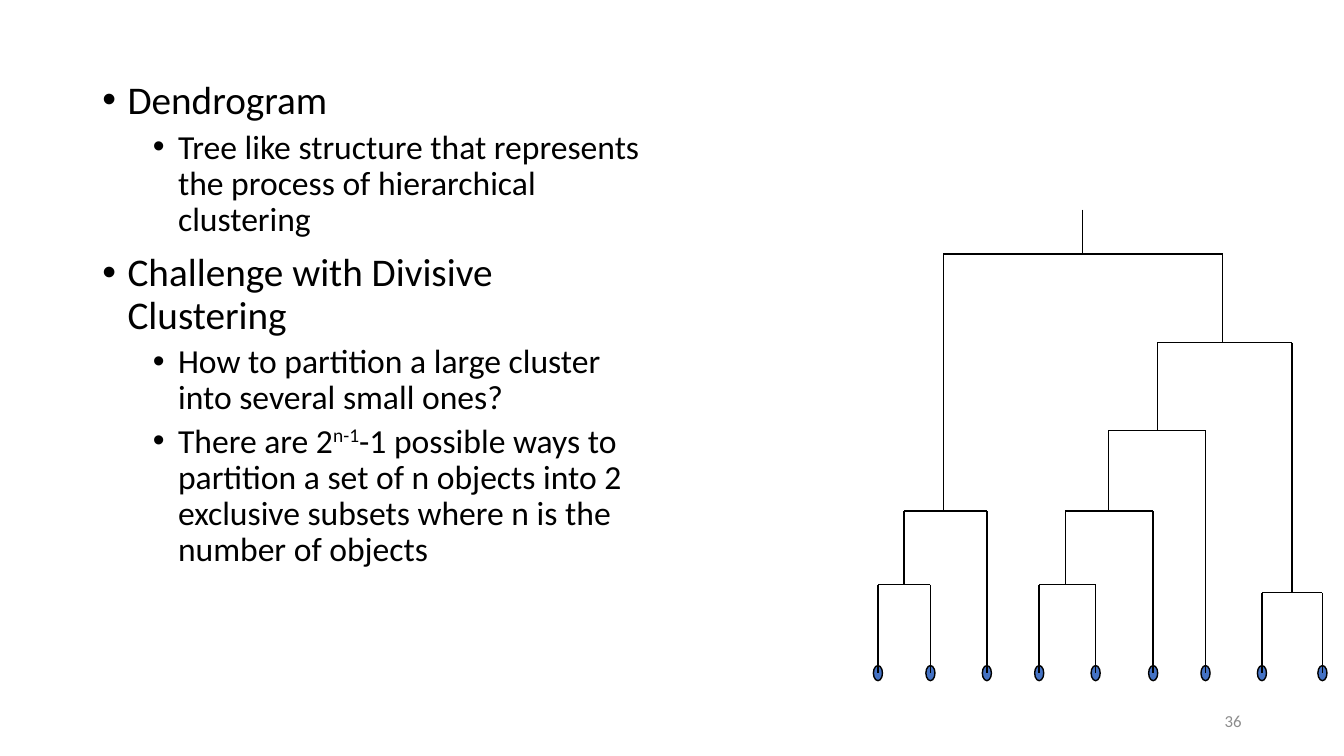
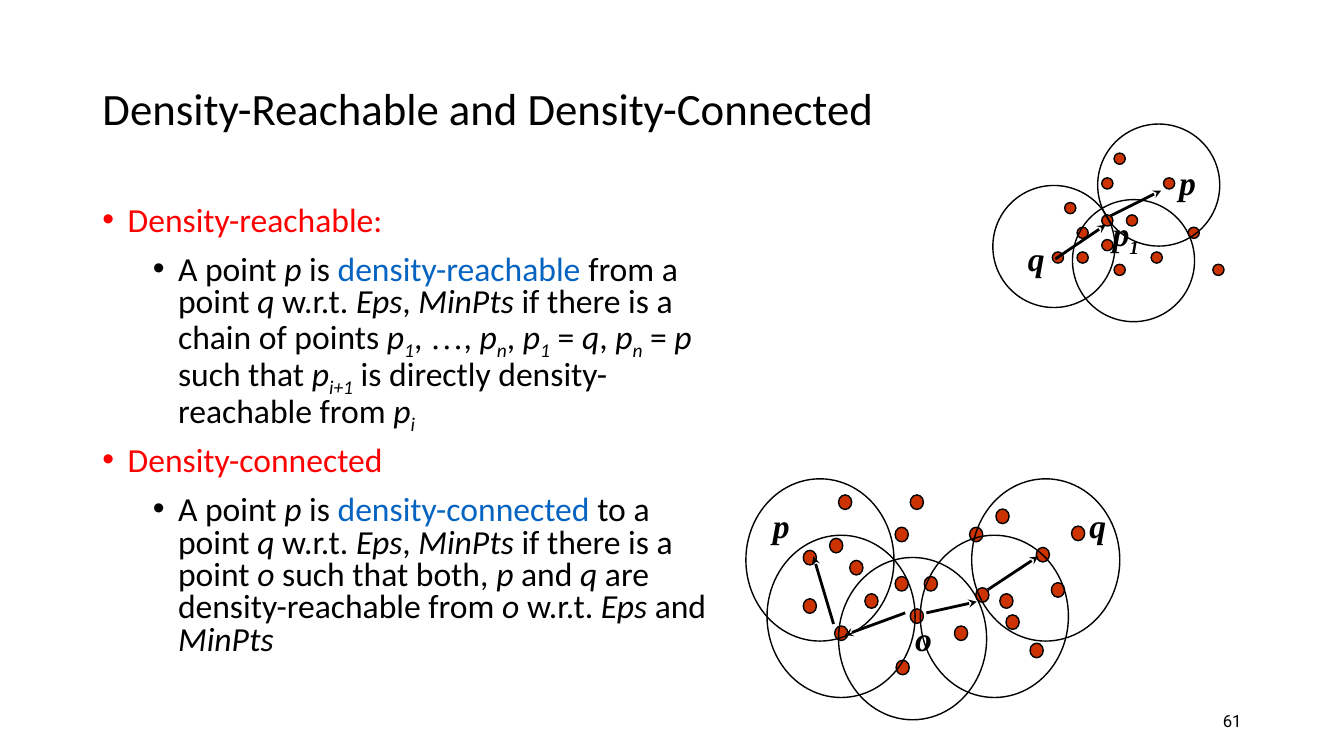
"""Build two slides on hierarchical and density-based clustering."""
from lxml.etree import SubElement
from pptx import Presentation
from pptx.dml.color import RGBColor
from pptx.enum.shapes import MSO_CONNECTOR as Connector, MSO_SHAPE as Shape
from pptx.enum.text import MSO_ANCHOR as Anchor, MSO_AUTO_SIZE as AutoSize, PP_ALIGN as Align
from pptx.oxml.ns import qn
from pptx.util import Pt

BLACK = RGBColor(0x00, 0x00, 0x00)
GRAY = RGBColor(0x8C, 0x8C, 0x8C)
RED = RGBColor(0xFF, 0x00, 0x00)
LINK_BLUE = RGBColor(0x05, 0x63, 0xC1)
LEAF_BLUE = RGBColor(0x44, 0x72, 0xC4)
POINT_RED = RGBColor(0xCC, 0x33, 0x00)

BODY_FONT = "Calibri"
LABEL_FORMAT = {"name": "Times New Roman", "size": Pt(24), "bold": True, "italic": True,
                "color": BLACK}
RUN_STYLES = {
    "": {},
    "i": {"italic": True},
    "sub": {"italic": True, "baseline": -25},
    "sup": {"baseline": 30},
    "link": {"color": LINK_BLUE},
    "serif": {"name": "Times New Roman"},
}

DENDROGRAM_TEXT = [
    (0, "Dendrogram"),
    (1, "Tree like structure that represents the process of hierarchical clustering"),
    (0, "Challenge with Divisive Clustering"),
    (1, "How to partition a large cluster into several small ones?"),
    (1, "There are 2|sup~n-1|-1 possible ways to partition a set of n objects into 2 "
        "exclusive subsets where n is the number of objects"),
]
DENSITY_TEXT = [
    (0, "Density-reachable:"),
    (1, "A point |i~p| is |link~density-reachable| from a point |i~q |w.r.t. |i~Eps|, |i~MinPts"
        "| if there is a chain of points |i~p|sub~1|, |serif~…|, |i~p|sub~n|, |i~p|sub~1| = |i~q"
        "|, |i~p|sub~n| = |i~p| such that |i~p|sub~i+1| is directly density-reachable from "
        "|i~p|sub~i"),
    (0, "Density-connected"),
    (1, "A point |i~p| is |link~density-connected| to a point |i~q |w.r.t. |i~Eps|, |i~MinPts"
        "| if there is a point |i~o |such that both, |i~p| and |i~q| are density-reachable from "
        "|i~o |w.r.t. |i~Eps| and |i~MinPts"),
]

LEAF_XS = [627.1, 664.6, 704.9, 742.3, 782.6, 823.7, 861.1, 901.4, 944.6]
LEAF_Y = 480.8
ROOT_TOP = 149.8
# Each merge: left node, right node, stem x, bar y; merges are numbered on from the leaves.
MERGES = [
    (0, 1, 645.8, 417.6),
    (3, 4, 761, 417.6),
    (7, 8, 923, 423.4),
    (9, 2, 673.9, 365),
    (10, 5, 792, 365),
    (13, 6, 826.6, 307.4),
    (14, 11, 873.4, 244.8),
    (12, 15, 773.3, 181.4),
]

GRID_LEFT, GRID_TOP, GRID_STEP = 751.7, 109.4, 8.82
REACHABLE_CELLS = [(1, 4), (4, 5), (4, 2), (0, 8), (2, 6), (2, 8), (5, 9), (5, 0), (11, 6),
                   (9, 2), (4, 7), (6, 5), (8, 8), (13, 9)]
REACHABLE = {
    "points": [(GRID_LEFT + column * GRID_STEP, GRID_TOP + row * GRID_STEP)
               for column, row in REACHABLE_CELLS],
    "point_size": (8, 8),
    "circles": [(766.1, 142.6), (709.2, 132.5), (784.1, 88.6)],
    "circle_size": (87.2, 87.2),
    "labels": [("p", 835.2, 112.3), ("q", 727.2, 166.3), ("p|sub~1", 787.7, 148.3)],
    "arrows": [(753.8, 185, 789.8, 160.6), (793.4, 154.1, 829.4, 136.1)],
}
CONNECTED = {
    "points": [
        (607, 400.3), (639.4, 411.8), (639.4, 376.6), (596.2, 447.1), (617.8, 424.1),
        (640.1, 471.6), (650.2, 434.9), (650.2, 353.5), (714.2, 424.1), (692.6, 376.6),
        (573.8, 427.7), (660.2, 411.8), (681.8, 447.1), (735.8, 459.4), (751, 416.2),
        (697, 419.8), (718.6, 439.2), (765.4, 375.8), (711.4, 363.6), (740.2, 391),
        (592.6, 384.5), (573.8, 393.1), (599, 353.5),
    ],
    "point_size": (9.4, 10.4),
    "circles": [(547.9, 382.3), (599, 398.2), (657.4, 382.3), (694.1, 342), (532.8, 342)],
    "circle_size": (105.8, 115.9),
    "labels": [("p", 545, 357.1), ("q", 771.1, 357.1), ("o", 646.6, 437.8)],
    "arrows": [(646.6, 437.8, 603.4, 453.6), (661.7, 437.8, 697.7, 429.8),
               (595.4, 445.7, 581, 397.4), (705.6, 421.2, 741.6, 397.4)],
}


def set_attributes(target, values):
    """Set every attribute named in a dict."""
    for name, value in values.items():
        setattr(target, name, value)


def place(shape, left, top, width, height):
    """Move and size a shape, in points."""
    set_attributes(shape, {"left": Pt(left), "top": Pt(top),
                           "width": Pt(width), "height": Pt(height)})


def format_run(run, values):
    """Apply font values, including colour and baseline in percent."""
    for name, value in values.items():
        if name == "color":
            run.font.color.rgb = value
        elif name == "baseline":
            run._r.get_or_add_rPr().set("baseline", str(value * 1000))
        else:
            setattr(run.font, name, value)


def add_runs(paragraph, text, base):
    """Add runs from pieces split by a bar, each with an optional style and tilde."""
    for piece in text.split("|"):
        style, _, words = piece.rpartition("~")
        run = paragraph.add_run()
        run.text = words
        format_run(run, {**base, **RUN_STYLES[style]})


def set_bullet(paragraph, level):
    """Give a paragraph a round bullet and a hanging indent."""
    properties = paragraph._p.get_or_add_pPr()
    properties.set("marL", str(Pt(18 + 36 * level)))
    properties.set("indent", str(Pt(-18)))
    SubElement(properties, qn("a:buFont"), typeface="Arial")
    SubElement(properties, qn("a:buChar"), char="•")


def fill_body(slide, box, items, line_spacing, levels):
    """Fill the body placeholder with a bulleted list."""
    body = slide.placeholders[1]
    place(body, *box)
    frame = body.text_frame
    set_attributes(frame, {"word_wrap": True, "auto_size": AutoSize.NONE})
    for index, (level, text) in enumerate(items):
        paragraph = frame.add_paragraph() if index else frame.paragraphs[0]
        size, space_before, color = levels[level]
        set_attributes(paragraph, {"level": level, "line_spacing": line_spacing,
                                   "space_before": Pt(space_before)})
        set_bullet(paragraph, level)
        add_runs(paragraph, text, {"name": BODY_FONT, "size": Pt(size), "color": color})


def fill_title(slide, text):
    """Fill the title placeholder."""
    title = slide.shapes.title
    place(title, 66, 27, 828, 104.4)
    set_attributes(title.text_frame, {"vertical_anchor": Anchor.MIDDLE, "word_wrap": True,
                                      "auto_size": AutoSize.NONE})
    paragraph = title.text_frame.paragraphs[0]
    set_attributes(paragraph, {"alignment": Align.LEFT, "line_spacing": 0.9})
    add_runs(paragraph, text, {"name": BODY_FONT, "size": Pt(32), "color": BLACK})


def add_text(shapes, box, text, values, alignment=Align.LEFT, anchor=Anchor.TOP, wrap=False):
    """Add a one-line text box."""
    text_box = shapes.add_textbox(*map(Pt, box))
    set_attributes(text_box.text_frame, {"word_wrap": wrap, "vertical_anchor": anchor})
    paragraph = text_box.text_frame.paragraphs[0]
    paragraph.alignment = alignment
    add_runs(paragraph, text, values)


def add_page_number(slide, number, font, color):
    """Add the page number at the bottom right."""
    add_text(slide.shapes, (678, 500.5, 216, 28.8), number,
             {"name": font, "size": Pt(12), "color": color}, Align.RIGHT, Anchor.MIDDLE, True)


def add_ellipse(shapes, left, top, size, fill=None):
    """Add a black-outlined ellipse, hollow unless a fill is given."""
    ellipse = shapes.add_shape(Shape.OVAL, *map(Pt, (left, top, *size)))
    ellipse.shadow.inherit = False
    if fill is None:
        ellipse.fill.background()
    else:
        ellipse.fill.solid()
        ellipse.fill.fore_color.rgb = fill
    ellipse.line.color.rgb = BLACK
    ellipse.line.width = Pt(1)


def add_line(shapes, start_x, start_y, end_x, end_y, width=1, arrow=False):
    """Add a straight black line, optionally with an arrowhead at its end."""
    line = shapes.add_connector(Connector.STRAIGHT, *map(Pt, (start_x, start_y, end_x, end_y)))
    line.line.color.rgb = BLACK
    line.line.width = Pt(width)
    if arrow:
        SubElement(line.line._get_or_add_ln(), qn("a:tailEnd"), type="stealth")
    SubElement(line._element.spPr, qn("a:effectLst"))


def add_dendrogram(shapes):
    """Draw the leaves, then each merge as a bar on two legs, then the root stem."""
    width, height = 6.5, 10.8
    nodes = [(x, LEAF_Y) for x in LEAF_XS]
    for x, y in nodes:
        add_ellipse(shapes, x - width / 2, y - height / 2, (width, height), LEAF_BLUE)
    for left, right, stem_x, bar_y in MERGES:
        for x, y in (nodes[left], nodes[right]):
            add_line(shapes, x, bar_y, x, y)
        add_line(shapes, nodes[left][0], bar_y, nodes[right][0], bar_y)
        nodes.append((stem_x, bar_y))
    root_x, root_y = nodes[-1]
    add_line(shapes, root_x, ROOT_TOP, root_x, root_y)


def add_density_diagram(shapes, diagram):
    """Draw points, their neighbourhood circles, arrows and labels."""
    for left, top in diagram["points"]:
        add_ellipse(shapes, left, top, diagram["point_size"], POINT_RED)
    for left, top in diagram["circles"]:
        add_ellipse(shapes, left, top, diagram["circle_size"])
    for ends in diagram["arrows"]:
        add_line(shapes, *ends, width=2, arrow=True)
    for text, left, top in diagram["labels"]:
        add_text(shapes, (left, top, 36, 36), text, LABEL_FORMAT)


def add_group(slide):
    """Add an empty group and return its shapes."""
    return slide.shapes.add_group_shape().shapes


def build_dendrogram_slide(presentation):
    """Build the dendrogram slide, which has no title."""
    slide = presentation.slides.add_slide(presentation.slide_layouts[1])
    title = slide.shapes.title._element
    title.getparent().remove(title)
    fill_body(slide, (66, 54, 412, 432.7), DENDROGRAM_TEXT, 0.9,
              [(28, 10, BLACK), (24, 5, BLACK)])
    add_page_number(slide, "36", BODY_FONT, GRAY)
    add_dendrogram(add_group(slide))


def build_density_slide(presentation):
    """Build the slide on density-reachable and density-connected points."""
    slide = presentation.slides.add_slide(presentation.slide_layouts[1])
    fill_title(slide, "Density-Reachable and Density-Connected")
    fill_body(slide, (66, 144, 446.4, 342.7), DENSITY_TEXT, 0.8,
              [(24, 12, RED), (24, 12, BLACK)])
    add_page_number(slide, "61", "Roboto", BLACK)
    for diagram in (REACHABLE, CONNECTED):
        add_density_diagram(add_group(slide), diagram)


def main():
    """Build and save the presentation."""
    presentation = Presentation()
    set_attributes(presentation, {"slide_width": Pt(960), "slide_height": Pt(540)})
    build_dendrogram_slide(presentation)
    build_density_slide(presentation)
    presentation.save("out.pptx")


if __name__ == "__main__":
    main()
